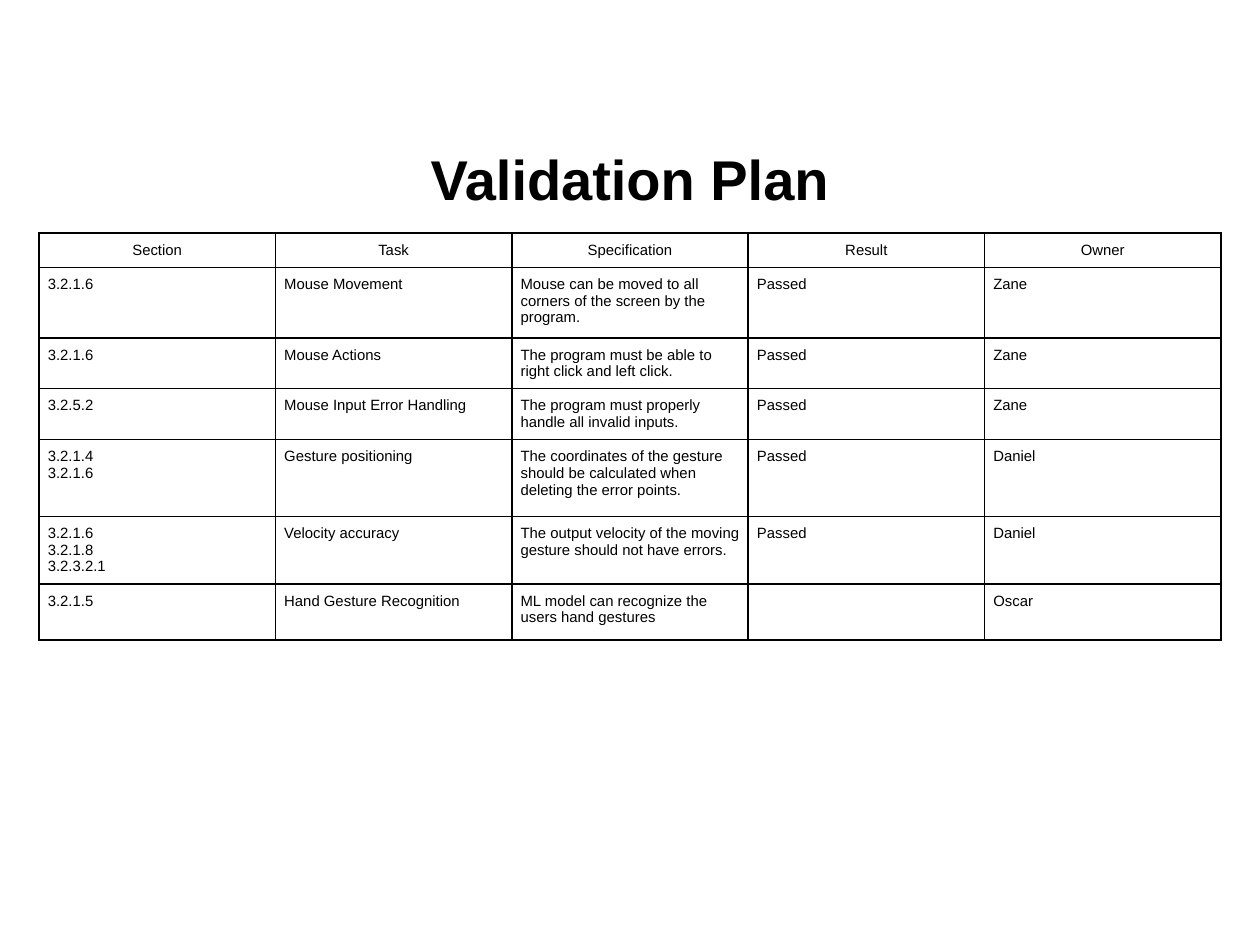
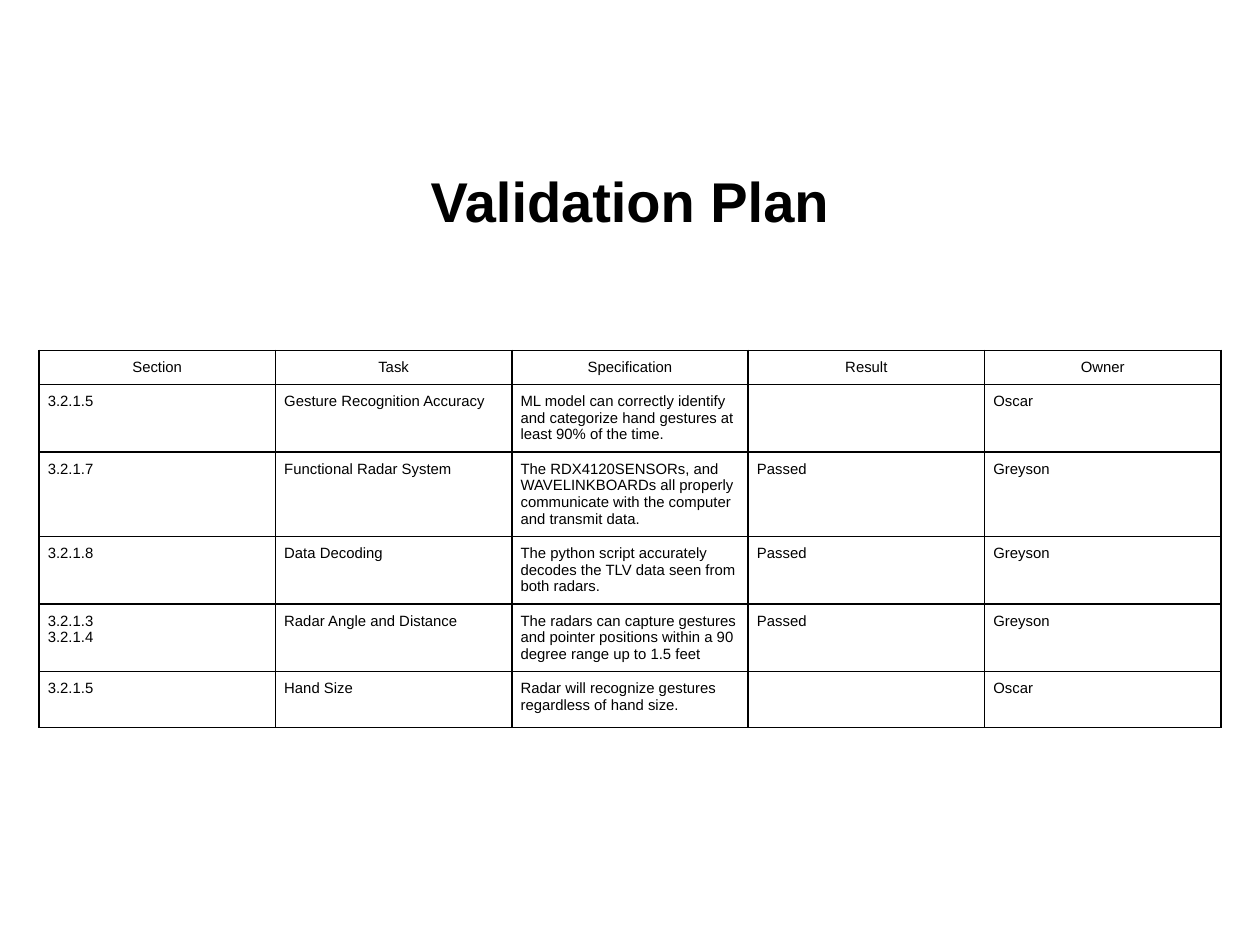
from dataclasses import dataclass

from lxml import etree
from pptx import Presentation
from pptx.dml.color import RGBColor
from pptx.enum.text import MSO_ANCHOR, PP_ALIGN
from pptx.oxml.ns import qn
from pptx.util import Inches, Pt

CENTER = PP_ALIGN.CENTER
LEFT = PP_ALIGN.LEFT
MIDDLE = MSO_ANCHOR.MIDDLE

BLACK = RGBColor(0x00, 0x00, 0x00)
FONT = "Arial"
TITLE_SIZE = Pt(32)
BODY_SIZE = Pt(8.5)
BORDER_WIDTH = Pt(1)
CELL_MARGIN = Inches(0.07)

SLIDE_WIDTH = Inches(10)
SLIDE_HEIGHT = Inches(7.5)
TITLE_LEFT = round(SLIDE_WIDTH * 0.05)
TITLE_HEIGHT = Inches(0.88)
TABLE_LEFT = Inches(0.31)

TITLE = "Validation Plan"
HEADINGS = ("Section", "Task", "Specification", "Result", "Owner")
COLUMN_WIDTH = (SLIDE_WIDTH - 2 * TABLE_LEFT) // len(HEADINGS)
HEADING_HEIGHT = 0.27


@dataclass(frozen=True)
class Check:
    height: float
    section: str
    task: str
    specification: str
    result: str
    owner: str

    def cells(self) -> tuple[str, ...]:
        return (self.section, self.task, self.specification, self.result, self.owner)


@dataclass(frozen=True)
class Plan:
    title_top: float
    table_top: float
    checks: tuple[Check, ...]


PLANS = (
    Plan(0.97, 1.85, (
        Check(0.56, "3.2.1.6", "Mouse Movement",
              "Mouse can be moved to all corners of the screen by the program.",
              "Passed", "Zane"),
        Check(0.4, "3.2.1.6", "Mouse Actions",
              "The program must be able to right click and left click.",
              "Passed", "Zane"),
        Check(0.4, "3.2.5.2", "Mouse Input Error Handling",
              "The program must properly handle all invalid inputs.",
              "Passed", "Zane"),
        Check(0.61, "3.2.1.4\n3.2.1.6", "Gesture positioning",
              "The coordinates of the gesture should be calculated when "
              "deleting the error points.",
              "Passed", "Daniel"),
        Check(0.53, "3.2.1.6\n3.2.1.8\n3.2.3.2.1", "Velocity accuracy",
              "The output velocity of the moving gesture should not have errors.",
              "Passed", "Daniel"),
        Check(0.42, "3.2.1.5", "Hand Gesture Recognition",
              "ML model can recognize the users hand gestures",
              "", "Oscar"),
    )),
    Plan(1.15, 2.78, (
        Check(0.53, "3.2.1.5", "Gesture Recognition Accuracy",
              "ML model can correctly identify and categorize hand gestures at "
              "least 90% of the time.",
              "", "Oscar"),
        Check(0.67, "3.2.1.7", "Functional Radar System",
              "The RDX4120SENSORs, and WAVELINKBOARDs all properly communicate "
              "with the computer and transmit data.",
              "Passed", "Greyson"),
        Check(0.53, "3.2.1.8", "Data Decoding",
              "The python script accurately decodes the TLV data seen from both radars.",
              "Passed", "Greyson"),
        Check(0.53, "3.2.1.3\n3.2.1.4", "Radar Angle and Distance",
              "The radars can capture gestures and pointer positions within a 90 "
              "degree range up to 1.5 feet",
              "Passed", "Greyson"),
        Check(0.42, "3.2.1.5", "Hand Size",
              "Radar will recognize gestures regardless of hand size.",
              "", "Oscar"),
    )),
)


def write_text(frame, text: str, size: int, align: PP_ALIGN, bold: bool = False) -> None:
    frame.text = text
    for paragraph in frame.paragraphs:
        paragraph.alignment = align
        for run in paragraph.runs:
            run.font.name = FONT
            run.font.size = size
            run.font.bold = bold
            run.font.color.rgb = BLACK


def add_borders(cell) -> None:
    properties = cell._tc.get_or_add_tcPr()
    for side in ("a:lnL", "a:lnR", "a:lnT", "a:lnB"):
        line = etree.SubElement(properties, qn(side), w=str(BORDER_WIDTH))
        fill = etree.SubElement(line, qn("a:solidFill"))
        etree.SubElement(fill, qn("a:srgbClr"), val=str(BLACK))


def draw_cell(cell, text: str, align: PP_ALIGN) -> None:
    add_borders(cell)
    cell.fill.background()
    cell.margin_left = cell.margin_right = CELL_MARGIN
    cell.margin_top = cell.margin_bottom = CELL_MARGIN
    write_text(cell.text_frame, text, BODY_SIZE, align)


def draw_title(slide, top: float) -> None:
    title = slide.shapes.title
    title.left, title.top = TITLE_LEFT, Inches(top)
    title.width, title.height = SLIDE_WIDTH - 2 * TITLE_LEFT, TITLE_HEIGHT
    title.text_frame.vertical_anchor = MIDDLE
    write_text(title.text_frame, TITLE, TITLE_SIZE, CENTER, bold=True)


def draw_checks(slide, plan: Plan) -> None:
    rows = [HEADINGS] + [check.cells() for check in plan.checks]
    heights = [Inches(h) for h in (HEADING_HEIGHT, *(c.height for c in plan.checks))]
    table = slide.shapes.add_table(
        len(rows), len(HEADINGS), TABLE_LEFT, Inches(plan.table_top),
        COLUMN_WIDTH * len(HEADINGS), sum(heights),
    ).table
    table.first_row = table.horz_banding = False
    for column in table.columns:
        column.width = COLUMN_WIDTH
    for row_index, (texts, height) in enumerate(zip(rows, heights)):
        table.rows[row_index].height = height
        align = LEFT if row_index else CENTER
        for column_index, text in enumerate(texts):
            draw_cell(table.cell(row_index, column_index), text, align)


def main() -> None:
    deck = Presentation()
    deck.slide_width, deck.slide_height = SLIDE_WIDTH, SLIDE_HEIGHT
    title_only = deck.slide_layouts.get_by_name("Title Only")
    for plan in PLANS:
        slide = deck.slides.add_slide(title_only)
        draw_title(slide, plan.title_top)
        draw_checks(slide, plan)
    deck.save("out.pptx")


if __name__ == "__main__":
    main()
